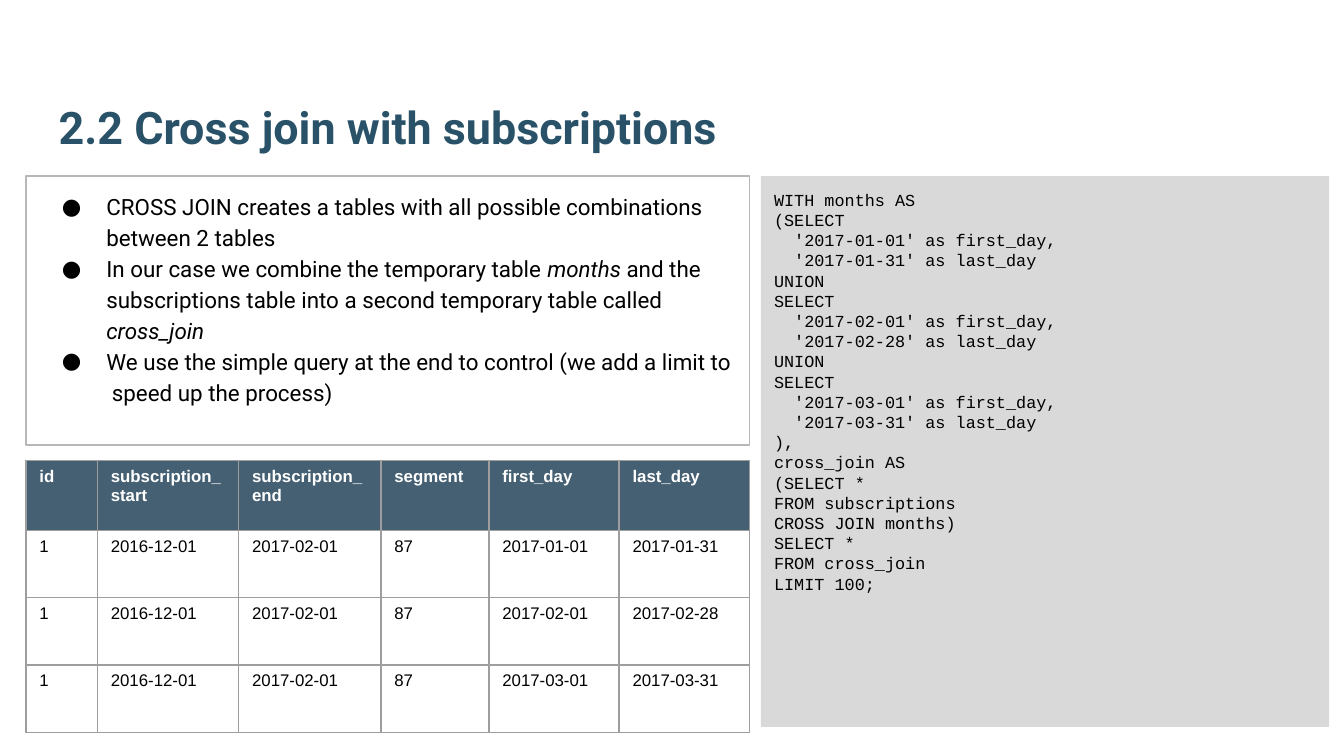
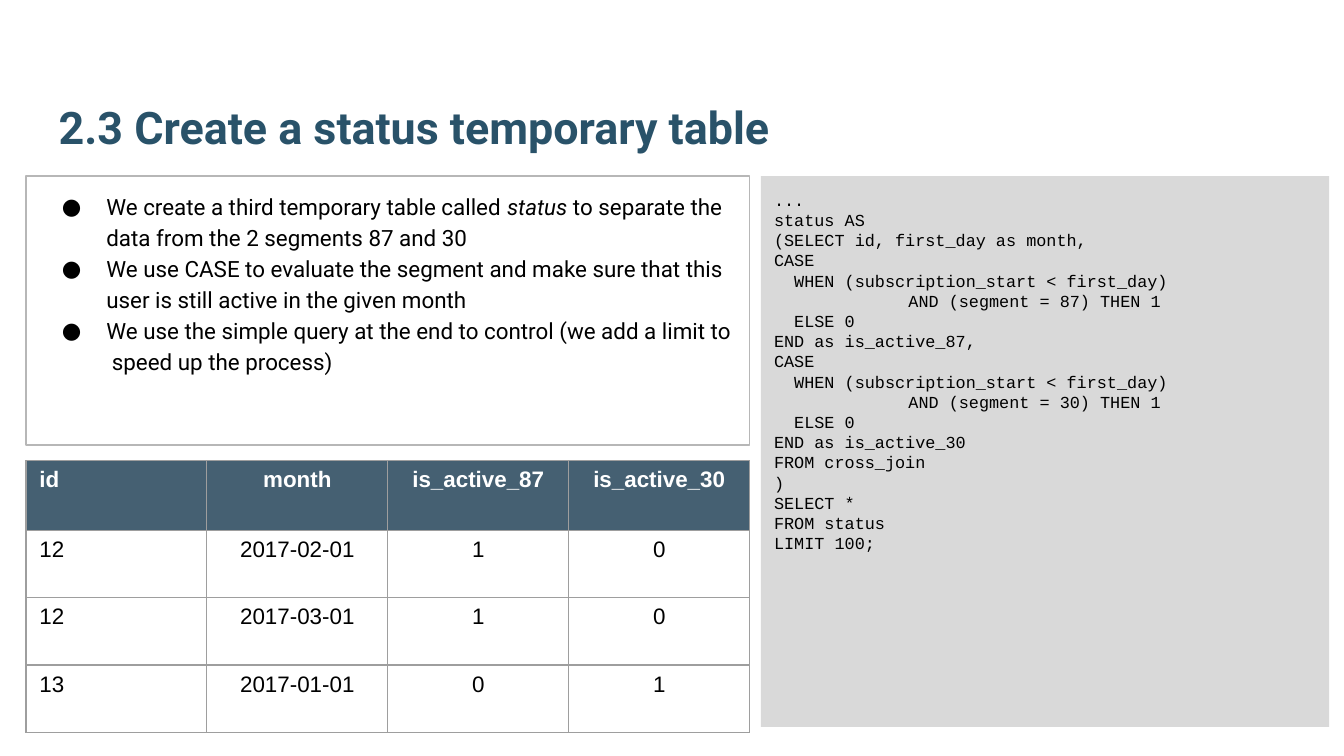
from pptx import Presentation
from pptx.dml.color import RGBColor
from pptx.enum.shapes import MSO_SHAPE as Shape
from pptx.enum.text import MSO_ANCHOR as Anchor, MSO_AUTO_SIZE as AutoSize, PP_ALIGN as Align
from pptx.oxml import parse_xml
from pptx.oxml.ns import nsdecls
from pptx.util import Cm, Pt

TITLE_BLUE = RGBColor(0x29, 0x52, 0x69)
HEADER_BLUE = RGBColor(0x20, 0x40, 0x56)
CODE_GREY = RGBColor(0xD9, 0xD9, 0xD9)
BOX_GREY = RGBColor(0xB7, 0xB7, 0xB7)
GRID_GREY = RGBColor(0x9E, 0x9E, 0x9E)
BLACK = RGBColor(0, 0, 0)
WHITE = RGBColor(0xFF, 0xFF, 0xFF)

HEADING_FONT, CODE_FONT, TABLE_FONT = "Roboto", "Courier New", "Arial"
INSET = Cm(0.25)
LEFT, TOP, LEFT_WIDTH = Cm(0.49), Cm(3.33), Cm(13.67)
HEADER_ROW, DATA_ROW = Cm(1.32), Cm(1.27)


class Deck:
    """Holds the shared style and the current slide."""

    def __init__(self):
        self.prs = Presentation()
        self.prs.slide_width, self.prs.slide_height = Cm(25.4), Cm(14.29)
        self.slide = None

    def new_slide(self, heading):
        self.slide = self.prs.slides.add_slide(self.prs.slide_layouts[1])
        title = self.slide.shapes.title
        self.place(title, Cm(0.86), Cm(0.81), Cm(23.67), Cm(2.34))
        self.frame(title, Anchor.BOTTOM)
        title.text_frame.text = heading
        self.style(title.text_frame.paragraphs[0], HEADING_FONT, 24, TITLE_BLUE, bold=True)

    @staticmethod
    def place(shape, left, top, width, height):
        shape.left, shape.top, shape.width, shape.height = left, top, width, height

    @staticmethod
    def frame(shape, anchor=Anchor.TOP):
        frame = shape.text_frame
        frame.word_wrap = True
        frame.auto_size = AutoSize.NONE
        frame.vertical_anchor = anchor
        frame.margin_left = frame.margin_right = INSET
        frame.margin_top = frame.margin_bottom = INSET

    @staticmethod
    def style(paragraph, font, size, color, bold=False, align=Align.LEFT):
        paragraph.alignment = align
        paragraph.space_before = Pt(0)
        for run in paragraph.runs:
            run.font.name, run.font.size = font, Pt(size)
            run.font.bold = bold
            run.font.color.rgb = color

    def bullets(self, *points):
        """Fill the outlined box; words between asterisks are italic."""
        box = self.slide.placeholders[1]
        self.place(box, LEFT, TOP, LEFT_WIDTH, Cm(5.08))
        self.frame(box)
        box.line.color.rgb, box.line.width = BOX_GREY, Pt(0.75)
        box.text_frame.text = "\n".join(points)
        for paragraph, point in zip(box.text_frame.paragraphs, points):
            paragraph.text = ""
            for i, part in enumerate(point.split("*")):
                if part:
                    run = paragraph.add_run()
                    run.text = part
                    run.font.italic = i % 2 == 1
            self.style(paragraph, HEADING_FONT, 12, BLACK)
            paragraph.line_spacing = 1.15
            props = paragraph._p.get_or_add_pPr()
            props.set("marL", str(Cm(1.27)))
            props.set("indent", str(-Cm(0.84)))
            for xml in (
                f'<a:buClr {nsdecls("a")}><a:srgbClr val="{BLACK}"/></a:buClr>',
                f'<a:buFont {nsdecls("a")} typeface="{HEADING_FONT}"/>',
                f'<a:buChar {nsdecls("a")} char="●"/>',
            ):
                props.append(parse_xml(xml))

    def code(self, query):
        panel = self.slide.shapes.add_shape(Shape.RECTANGLE, Cm(14.38), TOP, Cm(10.74), Cm(10.41))
        panel.shadow.inherit = False
        panel.fill.solid()
        panel.fill.fore_color.rgb = CODE_GREY
        panel.line.fill.background()
        self.frame(panel)
        panel.text_frame.text = query
        for paragraph in panel.text_frame.paragraphs:
            self.style(paragraph, CODE_FONT, 9, BLACK)
            paragraph._p.get_or_add_pPr().append(parse_xml(
                f'<a:tabLst {nsdecls("a")}><a:tab pos="{Cm(2.54)}" algn="l"/></a:tabLst>'))

    def table(self, rows, widths, size, align=Align.LEFT):
        """Draw a result table; align applies to all columns but the first."""
        height = HEADER_ROW + DATA_ROW * (len(rows) - 1)
        table = self.slide.shapes.add_table(
            len(rows), len(widths), LEFT, Cm(8.71), LEFT_WIDTH, height).table
        table.first_row = table.horz_banding = False
        for column, width in zip(table.columns, widths):
            column.width = Cm(width)
        for r, values in enumerate(rows):
            header = r == 0
            table.rows[r].height = HEADER_ROW if header else DATA_ROW
            for c, value in enumerate(values):
                cell = table.cell(r, c)
                cell.text_frame.text = value
                self.style(cell.text_frame.paragraphs[0], TABLE_FONT, size,
                           WHITE if header else BLACK, header, align if c else Align.LEFT)
                self.paint(cell, header)

    @staticmethod
    def paint(cell, header):
        props = cell._tc.get_or_add_tcPr()
        for side in "LRTB":
            props.append(parse_xml(
                f'<a:ln{side} {nsdecls("a")} w="{Pt(0.75)}"><a:solidFill>'
                f'<a:srgbClr val="{GRID_GREY}"/></a:solidFill></a:ln{side}>'))
        if header:
            cell.fill.solid()
            cell.fill.fore_color.rgb = HEADER_BLUE
            color = props.find("{*}solidFill/{*}srgbClr")
            color.append(parse_xml(f'<a:alpha {nsdecls("a")} val="83000"/>'))
        else:
            cell.fill.background()


CONTROL_POINT = "We use the simple query at the end to control (we add a limit to  speed up the process)"

CROSS_JOIN_QUERY = """WITH months AS
(SELECT
  '2017-01-01' as first_day,
  '2017-01-31' as last_day
UNION
SELECT
  '2017-02-01' as first_day,
  '2017-02-28' as last_day
UNION
SELECT
  '2017-03-01' as first_day,
  '2017-03-31' as last_day
),
cross_join AS
(SELECT *
FROM subscriptions
CROSS JOIN months)
SELECT *
FROM cross_join
LIMIT 100;"""

STATUS_QUERY = """...
status AS
(SELECT id, first_day as month,
CASE
  WHEN (subscription_start < first_day)
\tAND (segment = 87) THEN 1
  ELSE 0
END as is_active_87,
CASE
  WHEN (subscription_start < first_day)
\tAND (segment = 30) THEN 1
  ELSE 0
END as is_active_30
FROM cross_join
)
SELECT *
FROM status
LIMIT 100;"""


def main():
    deck = Deck()

    # Cross join
    deck.new_slide("2.2 Cross join with subscriptions")
    deck.bullets(
        "CROSS JOIN creates a tables with all possible combinations between 2 tables",
        "In our case we combine the temporary table *months* and the subscriptions table "
        "into a second temporary table called *cross_join*",
        CONTROL_POINT,
    )
    deck.code(CROSS_JOIN_QUERY)
    months = [("2017-01-01", "2017-01-31"), ("2017-02-01", "2017-02-28"),
              ("2017-03-01", "2017-03-31")]
    joined = [("1", "2016-12-01", "2017-02-01", "87", *month) for month in months]
    columns = ("id", "subscription_start", "subscription_end", "segment", "first_day", "last_day")
    deck.table([columns, *joined], (1.35, 2.67, 2.69, 2.04, 2.46, 2.46), 9)

    # Status table
    deck.new_slide("2.3 Create a status temporary table")
    deck.bullets(
        "We create a third temporary table called *status* to separate the data "
        "from the 2 segments 87 and 30",
        "We use CASE to evaluate the segment and make sure that this user is still "
        "active in the given month",
        CONTROL_POINT,
    )
    deck.code(STATUS_QUERY)
    status = [
        ("id", "month", "is_active_87", "is_active_30"),
        ("12", "2017-02-01", "1", "0"),
        ("12", "2017-03-01", "1", "0"),
        ("13", "2017-01-01", "0", "1"),
    ]
    deck.table(status, [3.42] * 4, 12, Align.CENTER)

    deck.prs.save("out.pptx")


if __name__ == "__main__":
    main()
